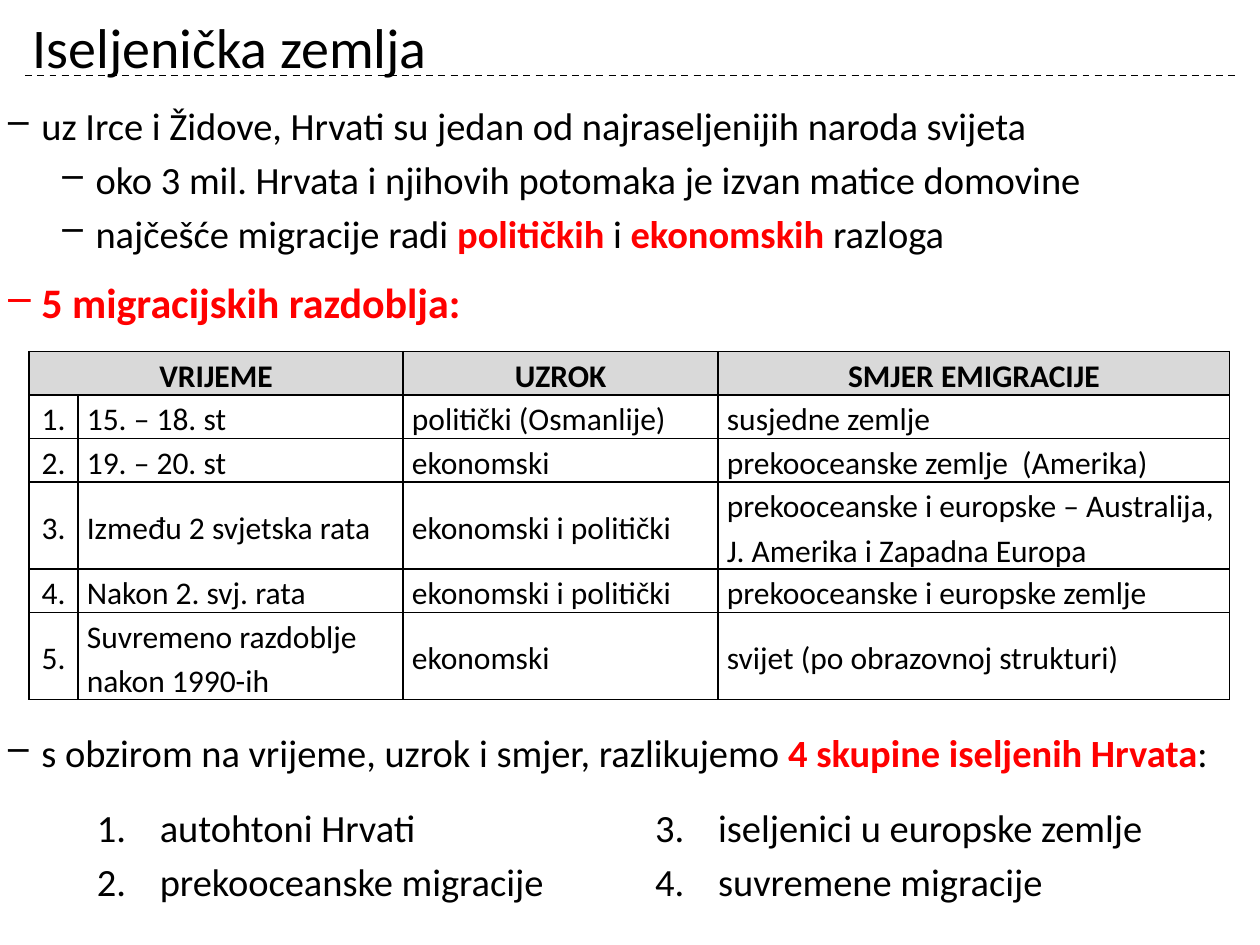
import lxml.etree
import pptx
import pptx.dml.color
import pptx.enum.dml
import pptx.enum.shapes
import pptx.enum.text
import pptx.oxml
import pptx.oxml.ns
import pptx.util

Inches = pptx.util.Inches
Pt = pptx.util.Pt
qn = pptx.oxml.ns.qn
ANCHOR = pptx.enum.text.MSO_ANCHOR
ALIGN = pptx.enum.text.PP_ALIGN

BLACK, RED, GREY = "000000", "FF0000", "D9D9D9"
LIST_GAP = 4.4

INTRO = [
    (0.28, 0, 22, [("uz Irce i Židove, Hrvati su jedan od najraseljenijih naroda svijeta", False)]),
    (0.71, LIST_GAP, 22, [("oko 3 mil. Hrvata i njihovih potomaka je izvan matice domovine", False)]),
    (0.71, LIST_GAP, 22, [("najčešće migracije radi ", False), ("političkih", True), (" i ", False),
                          ("ekonomskih ", True), ("razloga", False)]),
    (0.28, 12, 24, [("5 migracijskih razdoblja:", True)]),
]
GROUPS_LEAD = [
    (0.28, 0, 22, [("s obzirom na vrijeme, uzrok i smjer, razlikujemo ", False),
                   ("4 skupine iseljenih Hrvata", True), (":", False)]),
]
GROUPS = ["autohtoni Hrvati", "prekooceanske migracije",
          "iseljenici u europske zemlje", "suvremene migracije"]
COLUMN_WIDTHS = [0.39, 2.58, 2.5, 4.06]
ROW_HEIGHTS = [0.34, 0.34, 0.34, 0.69, 0.34, 0.69]
PERIODS = [
    ["VRIJEME", "", "UZROK", "SMJER EMIGRACIJE"],
    ["1.", "15. – 18. st", "politički (Osmanlije)", "susjedne zemlje"],
    ["2.", "19. – 20. st", "ekonomski", "prekooceanske zemlje  (Amerika)"],
    ["3.", "Između 2 svjetska rata", "ekonomski i politički",
     "prekooceanske i europske – Australija, J. Amerika i Zapadna Europa"],
    ["4.", "Nakon 2. svj. rata", "ekonomski i politički", "prekooceanske i europske zemlje"],
    ["5.", "Suvremeno razdoblje nakon 1990-ih", "ekonomski", "svijet (po obrazovnoj strukturi)"],
]


def rgb(value):
    """Return a colour from a hex string."""
    return pptx.dml.color.RGBColor.from_string(value)


def style(r, size, color=BLACK, bold=False):
    """Format one run."""
    r.font.name = "Calibri"
    r.font.size = Pt(size)
    r.font.bold = bold
    r.font.color.rgb = rgb(color)


def text_frame(s, box):
    """Add a wrapping text box and return its frame."""
    tf = s.shapes.add_textbox(*map(Inches, box)).text_frame
    tf.word_wrap = True
    return tf


def next_paragraph(tf, index):
    """Return the first paragraph or append a new one."""
    return tf.add_paragraph() if index else tf.paragraphs[0]


def set_marker(p, left, hanging, tag, **attributes):
    """Give a paragraph a hanging bullet or number."""
    pPr = p._p.get_or_add_pPr()
    pPr.set("marL", str(Inches(left)))
    pPr.set("indent", str(-Inches(hanging)))
    lxml.etree.SubElement(pPr, qn(tag), **attributes)


def add_title(s, box, text):
    """Add the title and the dashed rule under it."""
    tf = text_frame(s, box)
    tf.vertical_anchor = ANCHOR.MIDDLE
    tf.text = text
    style(tf.paragraphs[0].runs[0], 32)
    left, top, width, height = box
    rule_y = Inches(top + height - 0.08)
    rule = s.shapes.add_connector(pptx.enum.shapes.MSO_CONNECTOR.STRAIGHT,
                                  Inches(0.2), rule_y, Inches(9.8), rule_y)
    rule.line.color.rgb = rgb(BLACK)
    rule.line.width = Pt(1)
    rule.line.dash_style = pptx.enum.dml.MSO_LINE.DASH
    lxml.etree.SubElement(rule._element.spPr, qn("a:effectLst"))


def add_bullets(s, box, items):
    """Add dash bullets with red bold key words."""
    tf = text_frame(s, box)
    for index, (left, gap, size, parts) in enumerate(items):
        p = next_paragraph(tf, index)
        set_marker(p, left, 0.28, "a:buChar", char="‒")
        p.space_before = Pt(gap)
        for text, key in parts:
            r = p.add_run()
            r.text = text
            style(r, size, RED if key else BLACK, key)


def add_numbered_columns(s, box, items):
    """Add a numbered list that flows over two columns."""
    tf = text_frame(s, box)
    tf._txBody.bodyPr.set("numCol", "2")
    for index, text in enumerate(items):
        p = next_paragraph(tf, index)
        p.text = text
        set_marker(p, 0.94, 0.5, "a:buAutoNum", type="arabicPeriod")
        p.space_before = Pt(LIST_GAP if index else 0)
        style(p.runs[0], 22)


def set_borders(cell):
    """Draw a thin black line on every side of a cell."""
    tcPr = cell._tc.get_or_add_tcPr()
    for side in ("a:lnL", "a:lnR", "a:lnT", "a:lnB"):
        line = lxml.etree.SubElement(tcPr, qn(side), w=str(Pt(1)))
        fill = lxml.etree.SubElement(line, qn("a:solidFill"))
        lxml.etree.SubElement(fill, qn("a:srgbClr"), val=BLACK)


def format_cell(cell, text, header, centred):
    """Fill in and format one table cell."""
    set_borders(cell)
    if header:
        cell.fill.solid()
        cell.fill.fore_color.rgb = rgb(GREY)
    else:
        cell.fill.background()
    cell.vertical_anchor = ANCHOR.MIDDLE
    cell.margin_left = cell.margin_right = Inches(0.07)
    cell.margin_top = cell.margin_bottom = 0
    p = cell.text_frame.paragraphs[0]
    p.text = text
    p.alignment = ALIGN.CENTER if centred else ALIGN.LEFT
    p.line_spacing = 1.15
    for r in p.runs:
        style(r, 18, bold=header)


def add_periods_table(s, box):
    """Add the table of migration periods."""
    table = s.shapes.add_table(len(PERIODS), len(COLUMN_WIDTHS), *map(Inches, box)).table
    table.first_row = table.horz_banding = False
    for column, width in zip(table.columns, COLUMN_WIDTHS):
        column.width = Inches(width)
    for row, height in zip(table.rows, ROW_HEIGHTS):
        row.height = Inches(height)
    table.cell(0, 0).merge(table.cell(0, 1))
    for i, texts in enumerate(PERIODS):
        for j, text in enumerate(texts):
            format_cell(table.cell(i, j), text, i == 0, i == 0 or j == 0)


def main():
    """Build and save the slide."""
    prs = pptx.Presentation()
    prs.slide_width, prs.slide_height = Inches(10), Inches(7.5)
    s = prs.slides.add_slide(prs.slide_layouts[6])
    add_title(s, (0.16, 0.05, 9.69, 0.63), "Iseljenička zemlja")
    add_bullets(s, (-0.05, 0.76, 10.05, 1.95), INTRO)
    add_periods_table(s, (0.23, 2.79, 9.53, 2.76))
    add_bullets(s, (-0.05, 5.74, 10.05, 0.48), GROUPS_LEAD)
    add_numbered_columns(s, (0.23, 6.33, 9.06, 0.92), GROUPS)
    prs.save("out.pptx")


if __name__ == "__main__":
    main()
